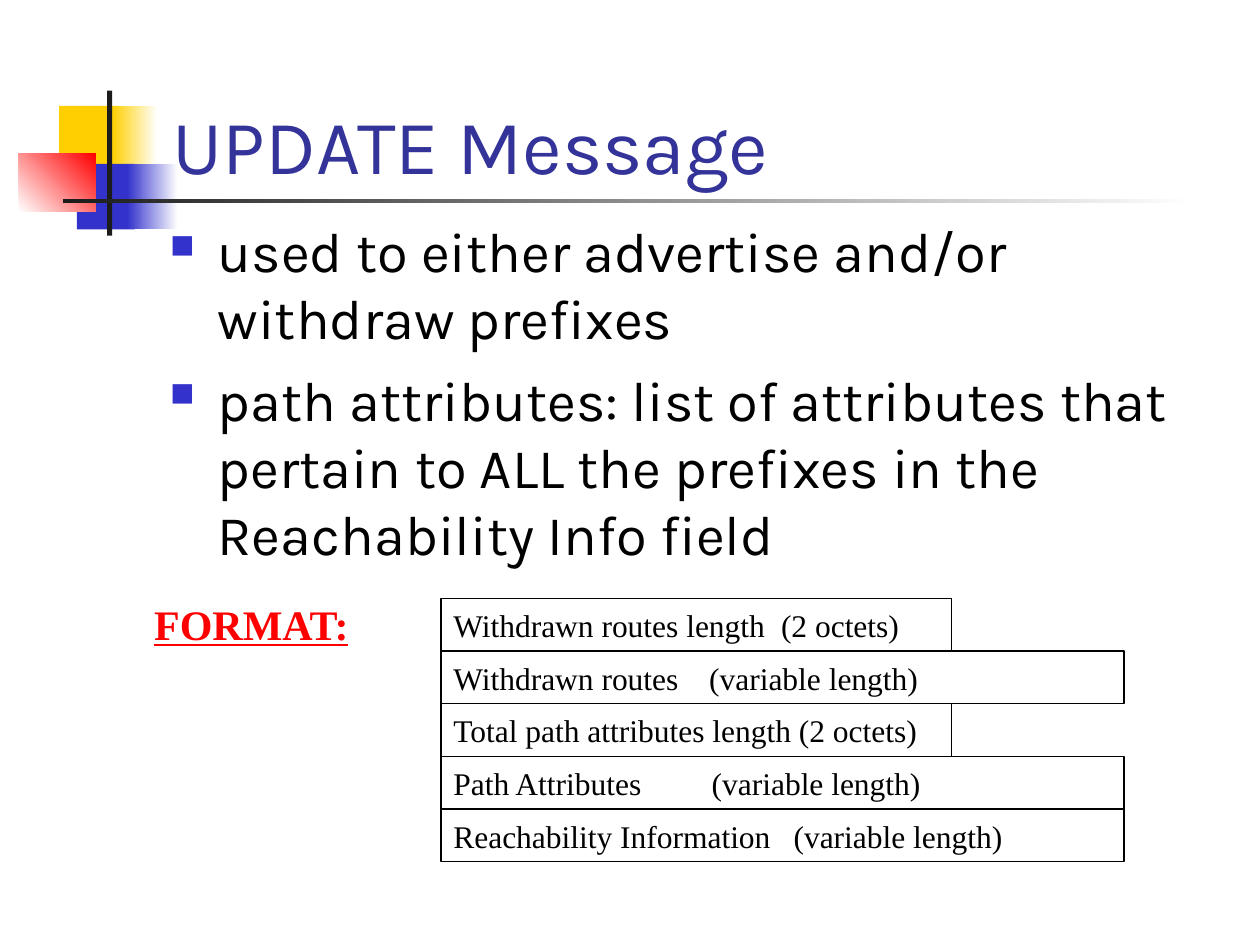
from lxml import etree
from pptx import Presentation
from pptx.dml.color import RGBColor
from pptx.enum.shapes import MSO_SHAPE
from pptx.enum.text import MSO_ANCHOR, PP_ALIGN
from pptx.oxml.ns import qn
from pptx.util import Inches, Pt

RECTANGLE = MSO_SHAPE.RECTANGLE
MIDDLE, BOTTOM = MSO_ANCHOR.MIDDLE, MSO_ANCHOR.BOTTOM
LEFT, CENTER = PP_ALIGN.LEFT, PP_ALIGN.CENTER
TITLE_ONLY = 5
HEADING_FONT, FIELD_FONT = "Karla", "Times New Roman"
COLORS = {
    "yellow": "FFCF01",
    "blue": "3333CC",
    "red": "FF0000",
    "charcoal": "1C1C1C",
    "white": "FFFFFF",
    "black": "000000",
    "title": "333399",
}
POINTS = [
    "used to either advertise and/or withdraw prefixes",
    "path attributes: list of attributes that pertain to ALL the prefixes in the Reachability Info field",
]
SHORT, LONG = 4.05, 5.42
FIELDS = [
    ("Withdrawn routes length", "(2 octets)", SHORT, 2.6),
    ("Withdrawn routes", "(variable length)", LONG, 2.03),
    ("Total path attributes length (2 octets)", None, SHORT, None),
    ("Path Attributes", "(variable length)", LONG, 2.05),
    ("Reachability Information", "(variable length)", LONG, 2.7),
]


def color(name):
    """Return the named colour of the palette."""
    return RGBColor.from_string(COLORS[name])


def add_run(paragraph, text, font_name, size, color_name):
    """Append a formatted run and return it."""
    run = paragraph.add_run()
    run.text = text
    run.font.name = font_name
    run.font.size = Pt(size)
    run.font.color.rgb = color(color_name)
    return run


def add_rectangle(slide, left, top, width, height):
    """Add a rectangle without shadow, measured in inches."""
    rectangle = slide.shapes.add_shape(
        RECTANGLE, Inches(left), Inches(top), Inches(width), Inches(height))
    rectangle.shadow.inherit = False
    return rectangle


def add_block(slide, box, start, end=None, angle=0):
    """Add a borderless block with a solid fill or a two-colour gradient."""
    block = add_rectangle(slide, *box)
    block.line.fill.background()
    if end is None:
        block.fill.solid()
        block.fill.fore_color.rgb = color(start)
        return
    block.fill.gradient()
    block.fill.gradient_angle = angle
    for stop, name, position in zip(block.fill.gradient_stops, (start, end), (0, 1)):
        stop.color.rgb = color(name)
        stop.position = position


def add_ornament(slide, left, top):
    """Draw the coloured squares, the upright bar and the fading title rule."""
    blocks = [
        ((0.32, 0.12, 0.48, 0.52), "yellow"),
        ((0.74, 0.12, 0.36, 0.52), "yellow", "white"),
        ((0.46, 0.58, 0.46, 0.52), "blue"),
        ((0.86, 0.58, 0.4, 0.52), "blue", "white"),
        ((0, 0.5, 0.61, 0.46), "white", "red", 45),
        ((0.7, 0, 0.04, 1.15), "charcoal"),
        ((0.35, 0.86, 9, 0.03), "charcoal", "white"),
    ]
    for (x, y, width, height), *fill in blocks:
        add_block(slide, (left + x, top + y, width, height), *fill)


def set_title(slide, left, top, width, height):
    """Place and format the title placeholder."""
    title = slide.shapes.title
    title.left, title.top = Inches(left), Inches(top)
    title.width, title.height = Inches(width), Inches(height)
    title.text_frame.vertical_anchor = BOTTOM
    paragraph = title.text_frame.paragraphs[0]
    paragraph.alignment = LEFT
    add_run(paragraph, "UPDATE Message", HEADING_FONT, 44, "title")


def add_bullet(paragraph):
    """Give a paragraph a hanging blue square bullet."""
    properties = paragraph._p.get_or_add_pPr()
    properties.set("marL", str(Inches(0.38)))
    properties.set("indent", str(Inches(-0.38)))
    bullet_color = etree.SubElement(properties, qn("a:buClr"))
    etree.SubElement(bullet_color, qn("a:srgbClr"), val=COLORS["blue"])
    etree.SubElement(properties, qn("a:buSzPct"), val="60000")
    etree.SubElement(properties, qn("a:buChar"), char="■")


def add_points(slide, left, top, width, height):
    """Add the bulleted description of the message."""
    points = slide.shapes.add_textbox(
        Inches(left), Inches(top), Inches(width), Inches(height))
    frame = points.text_frame
    frame.word_wrap = True
    for index, text in enumerate(POINTS):
        paragraph = frame.add_paragraph() if index else frame.paragraphs[0]
        add_bullet(paragraph)
        if index:
            paragraph.space_before = Pt(8)
        add_run(paragraph, text, HEADING_FONT, 32, "black")


def add_format_label(slide, left, top, width, height):
    """Add the underlined label beside the field diagram."""
    label = slide.shapes.add_textbox(
        Inches(left), Inches(top), Inches(width), Inches(height))
    label.text_frame.word_wrap = True
    label.text_frame.vertical_anchor = MIDDLE
    paragraph = label.text_frame.paragraphs[0]
    paragraph.alignment = CENTER
    run = add_run(paragraph, "FORMAT:", FIELD_FONT, 24, "red")
    run.font.bold = True
    run.font.underline = True


def add_fields(slide, left, top, height):
    """Stack the message fields, with each size note at its tab stop."""
    row_height = height / len(FIELDS)
    for index, (name, size_note, width, note_offset) in enumerate(FIELDS):
        field = add_rectangle(slide, left, top + index * row_height, width, row_height)
        field.fill.background()
        field.line.color.rgb = color("black")
        field.line.width = Pt(0.75)
        field.text_frame.word_wrap = True
        field.text_frame.vertical_anchor = MIDDLE
        paragraph = field.text_frame.paragraphs[0]
        paragraph.alignment = LEFT
        text = name
        if size_note:
            tabs = etree.SubElement(paragraph._p.get_or_add_pPr(), qn("a:tabLst"))
            etree.SubElement(tabs, qn("a:tab"), pos=str(Inches(note_offset)), algn="l")
            text = f"{name}\t{size_note}"
        add_run(paragraph, text, FIELD_FONT, 18, "black")


def main():
    """Build the slide and save it."""
    presentation = Presentation()
    presentation.slide_width, presentation.slide_height = Inches(10), Inches(7.5)
    slide = presentation.slides.add_slide(presentation.slide_layouts[TITLE_ONLY])
    add_ornament(slide, 0.15, 0.72)
    set_title(slide, 1.27, 0.31, 8.52, 1.25)
    add_points(slide, 1.25, 1.67, 8.54, 5.04)
    add_fields(slide, 3.5, 4.75, 2.09)
    add_format_label(slide, 1.1, 4.7, 1.79, 0.5)
    presentation.save("out.pptx")


if __name__ == "__main__":
    main()
